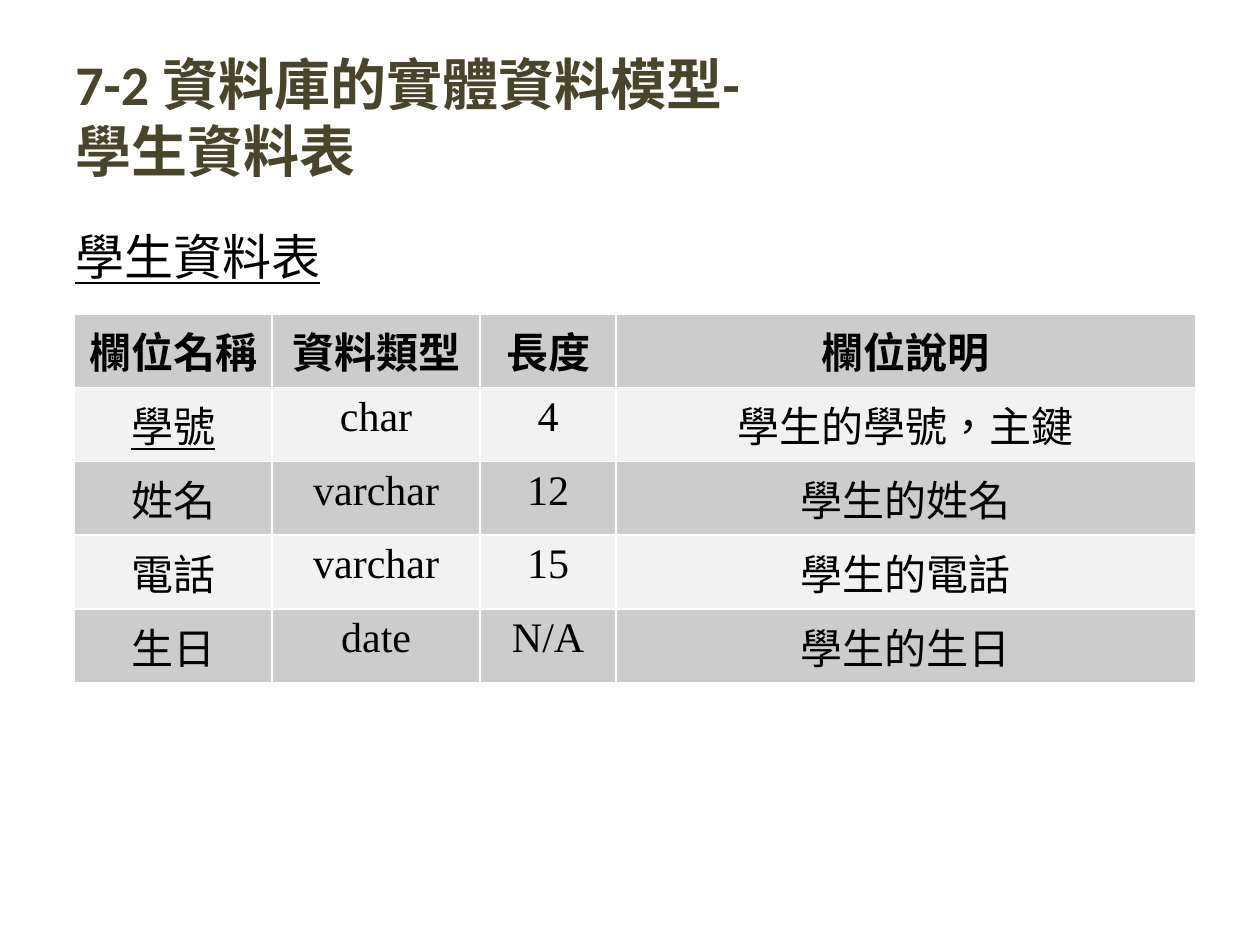
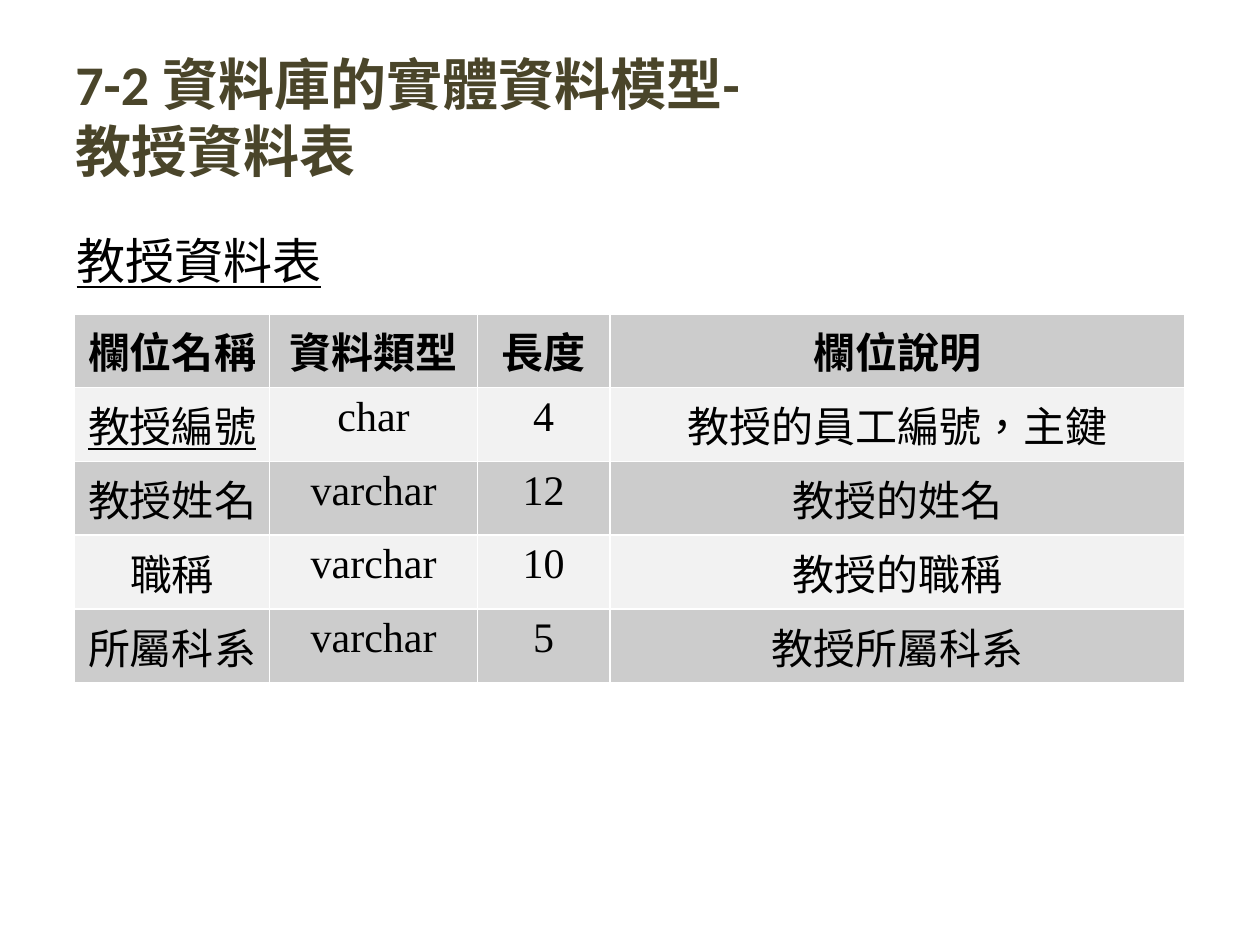
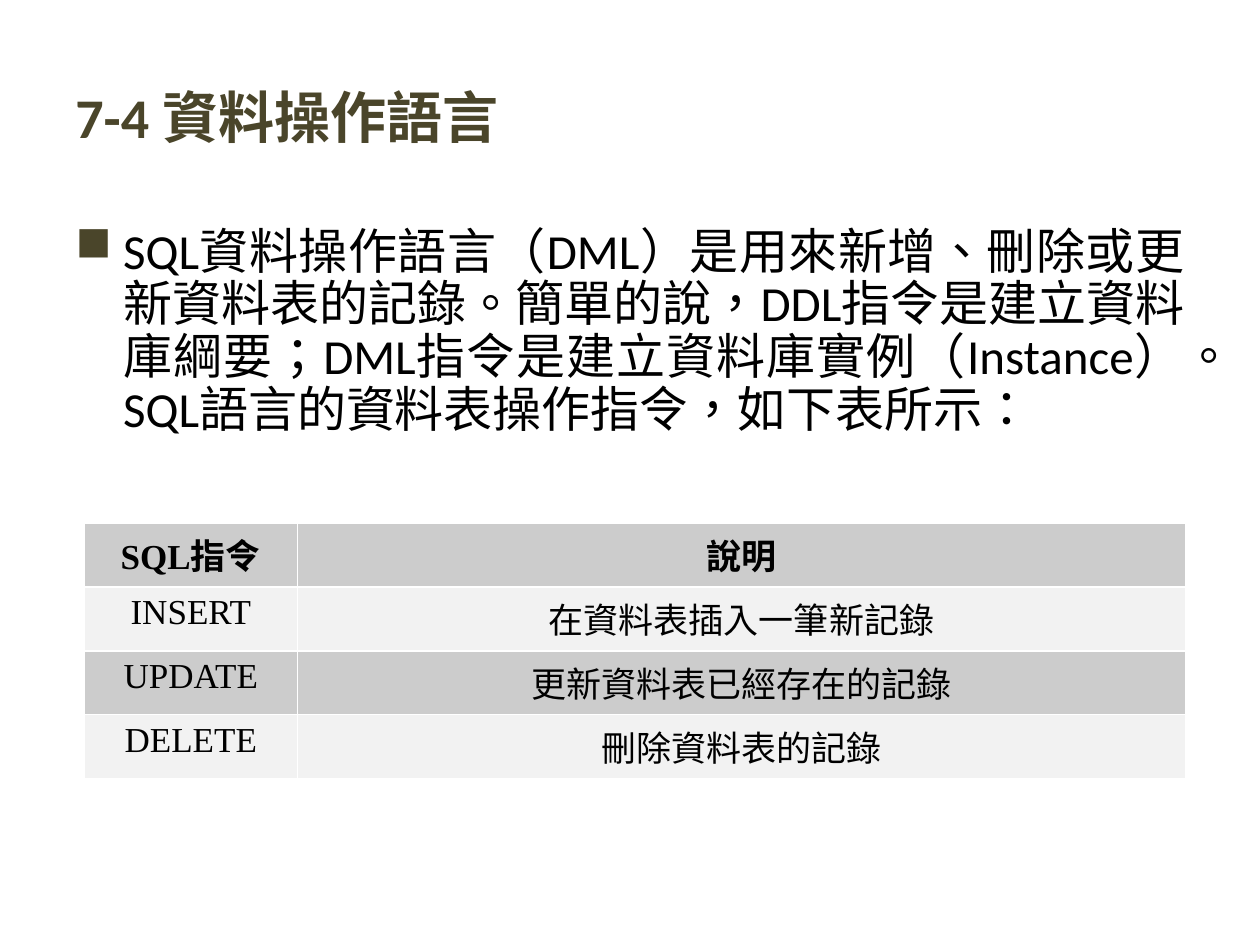
from dataclasses import dataclass

from lxml import etree
from pptx import Presentation
from pptx import util as u
from pptx.dml.color import RGBColor
from pptx.enum import text
from pptx.oxml.ns import qn


@dataclass(frozen=True)
class Theme:
    body_font: str = "Calibri"
    table_font: str = "Times New Roman"
    accent: str = "4A452A"
    ink: str = "000000"
    bands: tuple = ("CCCCCC", "F2F2F2")
    rule: str = "FFFFFF"
    rule_width: float = 0.96
    title_size: int = 32
    body_size: int = 28
    language: str = "zh-TW"


THEME = Theme()
WIDTH, HEIGHT = 10, 7.5
MARGIN = WIDTH / 20
TITLE_TOP, TITLE_HEIGHT = 0.3, 1.25
FIELD_HEADER = ("欄位名稱", "資料類型", "長度", "欄位說明")

SLIDES = [
    dict(
        title="7-2 資料庫的實體資料模型-\n學生資料表",
        body="學生資料表",
        body_at=(MARGIN, 1.75),
        underline=True,
        table_at=(0.59, 2.49),
        columns=(1.57, 1.65, 1.08, 4.6),
        table_height=2.93,
        table_size=24,
        key="學號",
        rows=[
            FIELD_HEADER,
            ("學號", "char", "4", "學生的學號，主鍵"),
            ("姓名", "varchar", "12", "學生的姓名"),
            ("電話", "varchar", "15", "學生的電話"),
            ("生日", "date", "N/A", "學生的生日"),
        ],
    ),
    dict(
        title="7-2 資料庫的實體資料模型-\n教授資料表",
        body="教授資料表",
        body_at=(0.51, 1.78),
        underline=True,
        table_at=(0.59, 2.49),
        columns=(1.55, 1.65, 1.05, 4.56),
        table_height=2.93,
        table_size=24,
        key="教授編號",
        rows=[
            FIELD_HEADER,
            ("教授編號", "char", "4", "教授的員工編號，主鍵"),
            ("教授姓名", "varchar", "12", "教授的姓名"),
            ("職稱", "varchar", "10", "教授的職稱"),
            ("所屬科系", "varchar", "5", "教授所屬科系"),
        ],
    ),
    dict(
        title="7-4 資料操作語言",
        body="SQL資料操作語言（DML）是用來新增、刪除或更新資料表的記錄。"
             "簡單的說，DDL指令是建立資料庫綱要；DML指令是建立資料庫實例"
             "（Instance）。SQL語言的資料表操作指令，如下表所示：",
        body_at=(MARGIN, 1.75),
        bullet="■",
        table_at=(0.67, 4.15),
        columns=(1.69, 7.05),
        table_height=2.03,
        table_size=20,
        rows=[
            ("SQL指令", "說明"),
            ("INSERT", "在資料表插入一筆新記錄"),
            ("UPDATE", "更新資料表已經存在的記錄"),
            ("DELETE", "刪除資料表的記錄"),
        ],
    ),
]


def add_bullet(para, mark, indent=0.38):
    props = para._p.get_or_add_pPr()
    props.set("marL", str(u.Inches(indent)))
    props.set("indent", str(-u.Inches(indent)))
    color = etree.SubElement(props, qn("a:buClr"))
    etree.SubElement(color, qn("a:srgbClr"), val=THEME.accent)
    etree.SubElement(props, qn("a:buChar"), char=mark)


def write(frame, content, size, font=THEME.body_font, color=THEME.ink, bold=False,
          underline=False, align=None, bullet=None, spacing=None,
          anchor=text.MSO_ANCHOR.TOP):
    frame.word_wrap = True
    frame.vertical_anchor = anchor
    para = frame.paragraphs[0]
    para.alignment = align
    if spacing:
        para.line_spacing = spacing
    if bullet:
        add_bullet(para, bullet)
    for number, line in enumerate(content.split("\n")):
        if number:
            para.add_line_break()
        span = para.add_run()
        span.text = line
        span.font.name = font
        span.font.size = u.Pt(size)
        span.font.bold = bold
        span.font.underline = underline
        span.font.color.rgb = RGBColor.from_string(color)
        span._r.get_or_add_rPr().set("lang", THEME.language)


def add_text(page, left, top, width, height, content, **style):
    box = page.shapes.add_textbox(*map(u.Inches, (left, top, width, height)))
    write(box.text_frame, content, **style)


def paint_cell(cell, color):
    cell.fill.solid()
    cell.fill.fore_color.rgb = RGBColor.from_string(color)
    props = cell._tc.get_or_add_tcPr()
    for position, side in enumerate(("lnL", "lnR", "lnT", "lnB")):
        line = etree.Element(qn(f"a:{side}"), w=str(u.Pt(THEME.rule_width)))
        fill = etree.SubElement(line, qn("a:solidFill"))
        etree.SubElement(fill, qn("a:srgbClr"), val=THEME.rule)
        props.insert(position, line)


def add_table(page, item):
    rows, columns = item["rows"], item["columns"]
    frame = page.shapes.add_table(
        len(rows), len(columns),
        *map(u.Inches, (*item["table_at"], sum(columns), item["table_height"])))
    table = frame.table
    table.first_row = table.horz_banding = False
    for column, width in zip(table.columns, columns):
        column.width = u.Inches(width)
    for row_number, values in enumerate(rows):
        for column_number, value in enumerate(values):
            cell = table.cell(row_number, column_number)
            paint_cell(cell, THEME.bands[row_number % 2])
            write(cell.text_frame, value, item["table_size"],
                  font=THEME.table_font, bold=row_number == 0,
                  underline=value == item.get("key"),
                  align=text.PP_ALIGN.CENTER)


def add_page(deck, item):
    page = deck.slides.add_slide(deck.slide_layouts[6])
    inner = WIDTH - 2 * MARGIN
    left, top = item["body_at"]
    bullet = item.get("bullet")
    add_text(page, left, top, inner, item["table_at"][1] - top, item["body"],
             size=THEME.body_size, underline=item.get("underline", False),
             bullet=bullet, spacing=0.9 if bullet else None,
             align=text.PP_ALIGN.JUSTIFY if bullet else None)
    add_text(page, MARGIN, TITLE_TOP, inner, TITLE_HEIGHT, item["title"],
             size=THEME.title_size, color=THEME.accent, bold=True,
             anchor=text.MSO_ANCHOR.MIDDLE)
    add_table(page, item)


def main():
    deck = Presentation()
    deck.slide_width, deck.slide_height = u.Inches(WIDTH), u.Inches(HEIGHT)
    for item in SLIDES:
        add_page(deck, item)
    deck.save("out.pptx")


if __name__ == "__main__":
    main()
